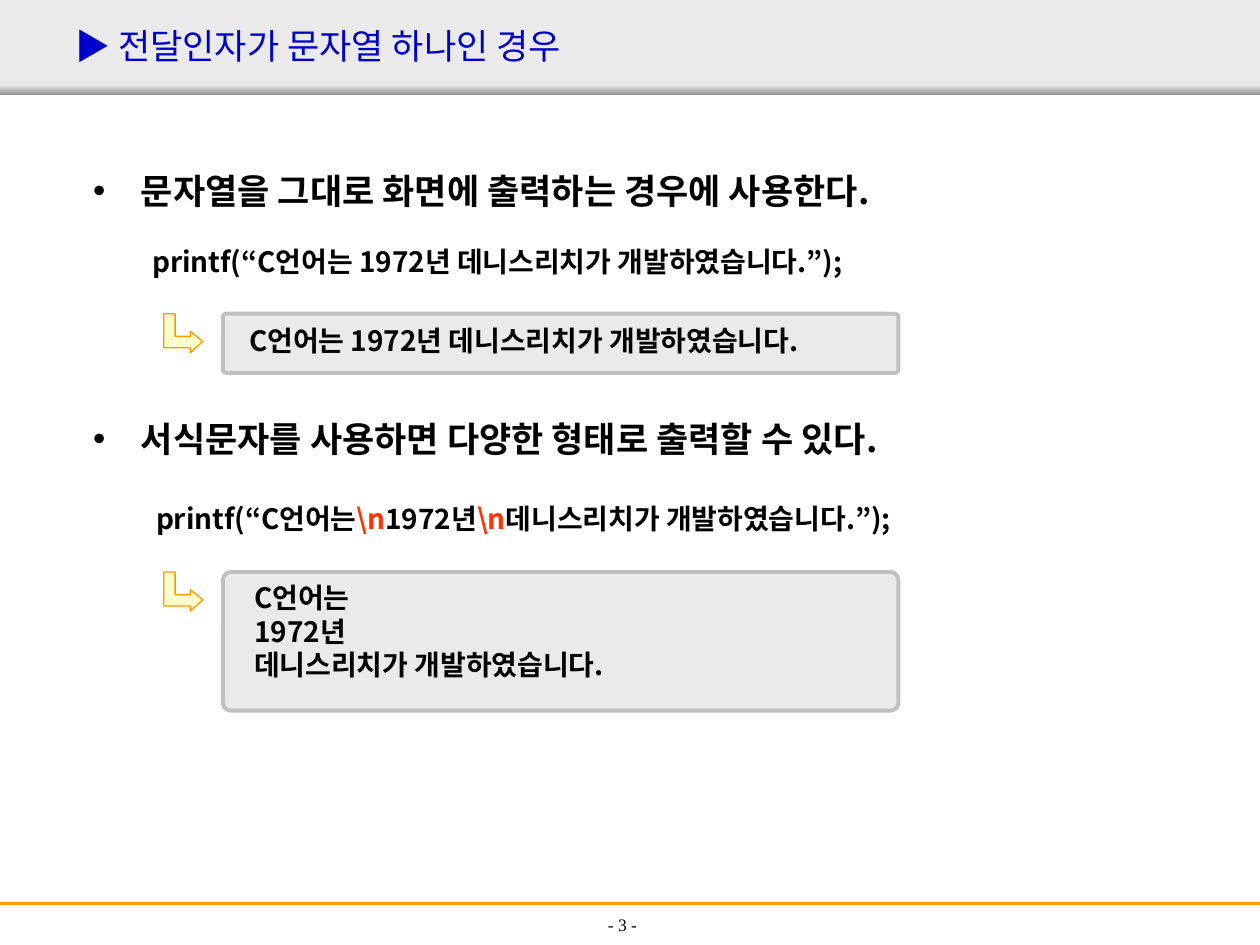
"""Builds the slide on printf with a single string argument."""
from lxml import etree
from pptx import Presentation
from pptx.dml.color import RGBColor
from pptx.enum.shapes import MSO_CONNECTOR, MSO_SHAPE
from pptx.enum.text import MSO_ANCHOR, MSO_AUTO_SIZE, PP_ALIGN
from pptx.oxml.ns import qn
from pptx.util import Inches, Pt

RECT, ROUND = MSO_SHAPE.RECTANGLE, MSO_SHAPE.ROUNDED_RECTANGLE
LINE = MSO_CONNECTOR.STRAIGHT
MIDDLE, TOP = MSO_ANCHOR.MIDDLE, MSO_ANCHOR.TOP
LEFT, CENTER = PP_ALIGN.LEFT, PP_ALIGN.CENTER
GROW = MSO_AUTO_SIZE.SHAPE_TO_FIT_TEXT
SANS, SERIF = "Noto Sans CJK KR", "Times New Roman"
BLACK, RED, GRAY = "000000", "FF3300", "EAEAEA"


def color(value):
    return RGBColor.from_string(value)


def write(place, lines, size, bold=True, wrap=True, font=SANS, anchor=TOP, align=LEFT):
    box = slide.shapes.add_textbox(*map(Inches, place))
    frame = box.text_frame
    frame.word_wrap = wrap
    frame.vertical_anchor = anchor
    if not wrap:
        frame.auto_size = GROW
    for row, runs in enumerate(lines):
        para = frame.add_paragraph() if row else frame.paragraphs[0]
        para.alignment = align
        for text, tone in runs:
            run = para.add_run()
            run.text = text
            run.font.size = Pt(size)
            run.font.bold = bold
            run.font.name = font
            run.font.color.rgb = color(tone)
            props = run.font._element
            etree.SubElement(props, qn("a:ea"), typeface=font)
    return frame


prs = Presentation()
prs.slide_width, prs.slide_height = Inches(10), Inches(7.5)
slide = prs.slides.add_slide(prs.slide_layouts[6])
shapes = slide.shapes

shade = shapes.add_shape(RECT, 0, Inches(0.67), Inches(10), Inches(0.08))
shade.fill.gradient()
shade.fill.gradient_angle = 270
for stop, tone in zip(shade.fill.gradient_stops, ("ECECEC", "979797")):
    stop.color.rgb = color(tone)
band = shapes.add_shape(RECT, 0, 0, Inches(10), Inches(0.68))
band.fill.solid()
band.fill.fore_color.rgb = color(GRAY)
for part in (shade, band):
    part.line.fill.background()
    part.shadow.inherit = False

rule = shapes.add_connector(LINE, 0, Inches(7.17), Inches(10), Inches(7.17))
rule.line.color.rgb = color("FF9900")
rule.line.width = Pt(1.5)
etree.SubElement(rule._element.spPr, qn("a:effectLst"))

write((3.41, 7.25, 3.06, 0.17), [[("- 3 -", BLACK)]], 10,
      bold=False, font=SERIF, anchor=MIDDLE, align=CENTER)
write((0.5, 0.13, 7.1, 0.47), [[("▶ 전달인자가 문자열 하나인 경우", "0000CC")]], 20,
      bold=False, anchor=MIDDLE)

points = [
    ((0.64, 1.23, 8.85, 0.71), "문자열을 그대로 화면에 출력하는 경우에 사용한다."),
    ((0.64, 3.2, 7.36, 0.55), "서식문자를 사용하면 다양한 형태로 출력할 수 있다."),
]
for place, text in points:
    para = write(place, [[(text, BLACK)]], 20).paragraphs[0]
    para.line_spacing = 1.2
    para.space_before = Pt(5)
    props = para._p.get_or_add_pPr()
    props.set("marL", str(Inches(0.38)))
    props.set("indent", str(-Inches(0.38)))
    etree.SubElement(props, qn("a:buFont"), typeface="Arial")
    etree.SubElement(props, qn("a:buChar"), char="•")

bend = [(0, 0), (0.09, 0), (0.09, 0.18), (0.21, 0.18), (0.21, 0.14),
        (0.31, 0.22), (0.21, 0.31), (0.21, 0.27), (0, 0.27)]
for top, height in ((2.49, 0.47), (4.54, 1.1)):
    panel = shapes.add_shape(ROUND, Inches(1.77), Inches(top), Inches(5.36), Inches(height))
    panel.adjustments[0] = 0.055
    spots = [(Inches(1.3 + x), Inches(top + y)) for x, y in bend]
    path = shapes.build_freeform(*spots[0])
    path.add_line_segments(spots[1:], close=True)
    arrow = path.convert_to_shape()
    for part, fill, edge, width in ((panel, GRAY, "C0C0C0", 2.25),
                                    (arrow, "FFFFCC", "FF9900", 0.75)):
        part.fill.solid()
        part.fill.fore_color.rgb = color(fill)
        part.line.color.rgb = color(edge)
        part.line.width = Pt(width)
        part.shadow.inherit = False

samples = [
    ((1.11, 1.89, 5.92, 0.37),
     [[("printf(“C언어는 1972년 데니스리치가 개발하였습니다.”);", BLACK)]]),
    ((1.88, 2.52, 4.8, 0.37),
     [[("C언어는 1972년 데니스리치가 개발하였습니다.", BLACK)]]),
    ((1.14, 3.93, 6.36, 0.37),
     [[("printf(“C언어는", BLACK), ("\\n", RED), ("1972년", BLACK), ("\\n", RED),
       ("데니스리치가 개발하였습니다.”);", BLACK)]]),
    ((1.92, 4.56, 3.04, 0.9),
     [[("C언어는", BLACK)], [("1972년", BLACK)], [("데니스리치가 개발하였습니다.", BLACK)]]),
]
for place, lines in samples:
    write(place, lines, 16, wrap=False)

prs.save("out.pptx")
